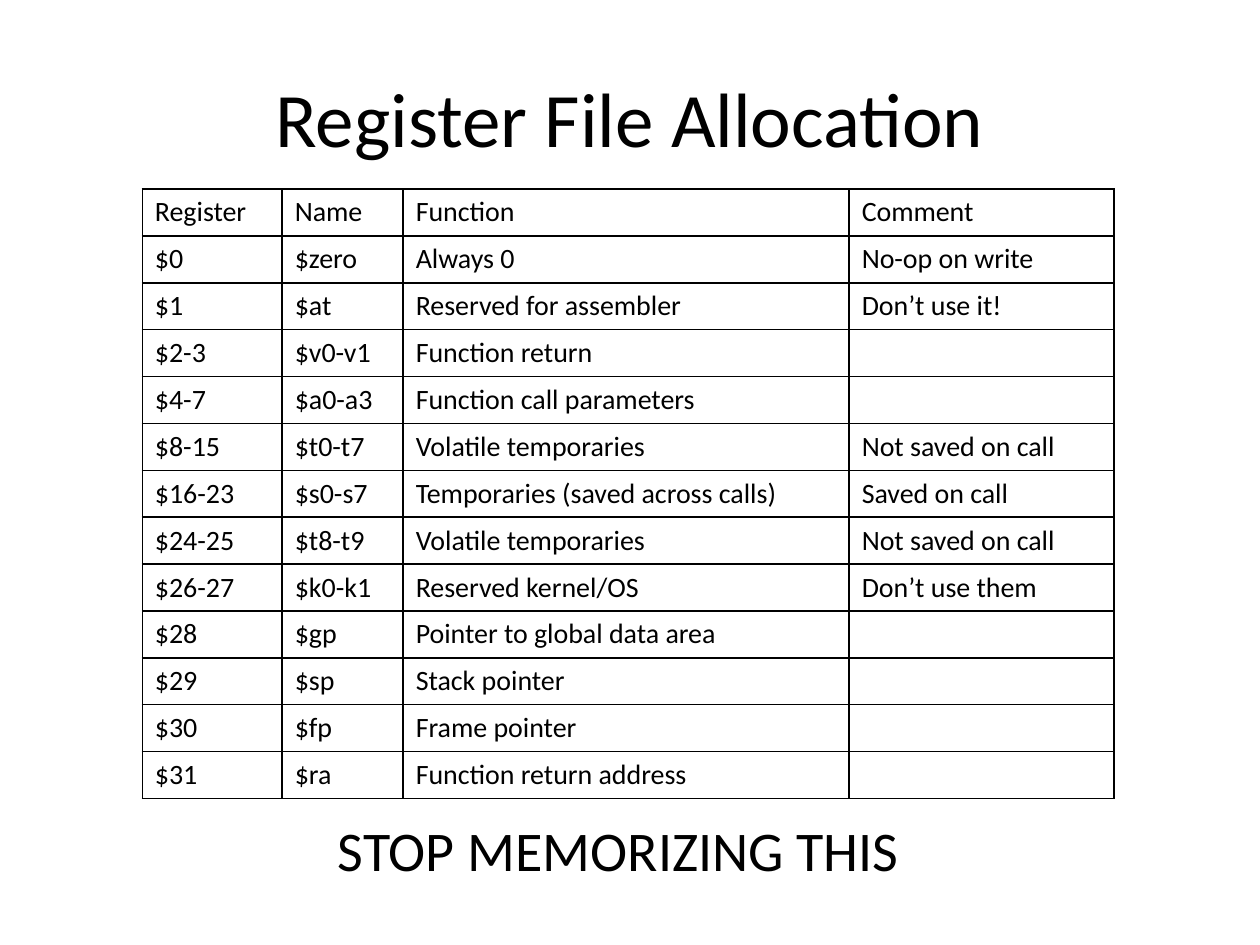
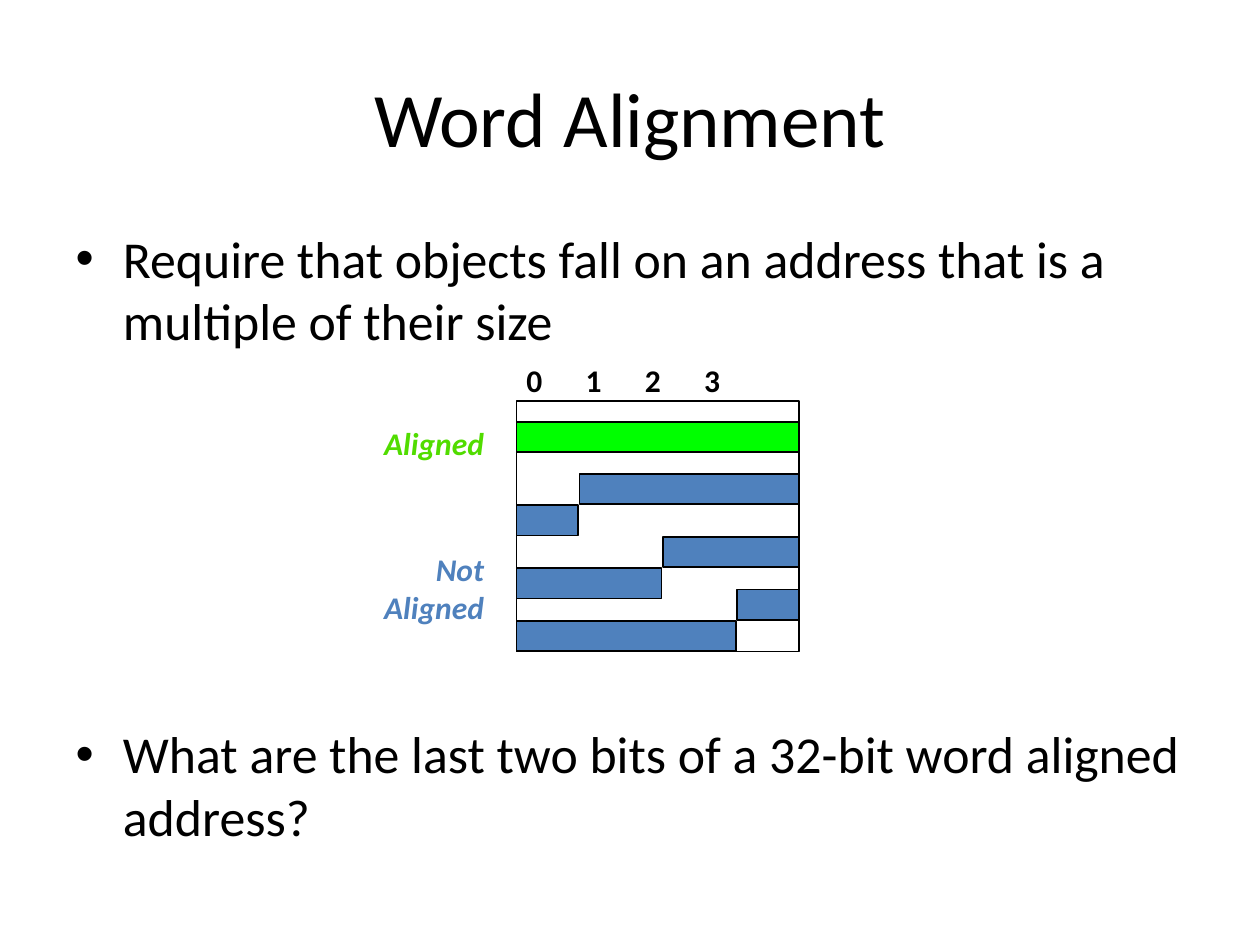
from lxml.etree import SubElement
from pptx import Presentation
from pptx.dml.color import RGBColor
from pptx.enum.shapes import MSO_SHAPE
from pptx.enum.text import MSO_ANCHOR, MSO_AUTO_SIZE, PP_ALIGN
from pptx.oxml.ns import qn
from pptx.util import Inches, Pt

# Shared look
FONT = "Calibri"
BLACK = RGBColor(0x00, 0x00, 0x00)
GREEN = RGBColor(0x00, 0xFF, 0x00)
LABEL_GREEN = RGBColor(0x51, 0xDC, 0x00)
BLUE = RGBColor(0x4F, 0x81, 0xBD)

# Register table
COLUMN_WIDTHS = (1.11, 0.96, 3.54, 2.1)
ROW_HEIGHT = 0.37
REGISTERS = (
    ("Register", "Name", "Function", "Comment"),
    ("$0", "$zero", "Always 0", "No-op on write"),
    ("$1", "$at", "Reserved for assembler", "Don’t use it!"),
    ("$2-3", "$v0-v1", "Function return", ""),
    ("$4-7", "$a0-a3", "Function call parameters", ""),
    ("$8-15", "$t0-t7", "Volatile temporaries", "Not saved on call"),
    ("$16-23", "$s0-s7", "Temporaries (saved across calls)", "Saved on call"),
    ("$24-25", "$t8-t9", "Volatile temporaries", "Not saved on call"),
    ("$26-27", "$k0-k1", "Reserved kernel/OS", "Don’t use them"),
    ("$28", "$gp", "Pointer to global data area", ""),
    ("$29", "$sp", "Stack pointer", ""),
    ("$30", "$fp", "Frame pointer", ""),
    ("$31", "$ra", "Function return address", ""),
)

# Word diagram: (top of the first part, width of the part that spills over)
SPLIT_WORDS = ((0.58, 0.49), (1.08, 1.15), (1.5, 1.74))
BAR_HEIGHT = 0.24
BAR_GAP = 0.01
BYTE_PITCH = 0.47


def write(frame, text, size, color=BLACK, bold=False, italic=False, align=None):
    """Fill a text frame, one paragraph for each line of text."""
    frame.text = text
    for paragraph in frame.paragraphs:
        paragraph.alignment = align
        for run in paragraph.runs:
            font = run.font
            font.name, font.size = FONT, Pt(size)
            font.bold, font.italic = bold, italic
            font.color.rgb = color
        if not paragraph.runs:
            paragraph._p.get_or_add_endParaRPr().set("sz", str(size * 100))


def place(part, left, top, width, height):
    part.left, part.top = Inches(left), Inches(top)
    part.width, part.height = Inches(width), Inches(height)


def add_titled_slide(prs, title):
    slide = prs.slides.add_slide(prs.slide_layouts[1])
    place(slide.shapes.title, 0.5, 0.3, 9, 1.25)
    frame = slide.shapes.title.text_frame
    frame.vertical_anchor = MSO_ANCHOR.MIDDLE
    write(frame, title, 44, align=PP_ALIGN.CENTER)
    return slide


def fill_body(slide, box, text, size):
    body = slide.placeholders[1]
    place(body, *box)
    body.text_frame.auto_size = MSO_AUTO_SIZE.NONE
    write(body.text_frame, text, size)
    return body.text_frame.paragraphs


def draw_cell_borders(cell):
    properties = cell._tc.get_or_add_tcPr()
    for side in ("a:lnL", "a:lnR", "a:lnT", "a:lnB"):
        border = SubElement(properties, qn(side), w=str(Pt(1)))
        solid = SubElement(border, qn("a:solidFill"))
        SubElement(solid, qn("a:srgbClr"), val=str(BLACK))


def add_register_table(slide, left, top):
    table = slide.shapes.add_table(
        len(REGISTERS), len(COLUMN_WIDTHS), Inches(left), Inches(top),
        Inches(sum(COLUMN_WIDTHS)), Inches(ROW_HEIGHT * len(REGISTERS))).table
    table.first_row = table.horz_banding = False
    for column, width in zip(table.columns, COLUMN_WIDTHS):
        column.width = Inches(width)
    for row, entries in zip(table.rows, REGISTERS):
        row.height = Inches(ROW_HEIGHT)
        for cell, entry in zip(row.cells, entries):
            draw_cell_borders(cell)
            cell.fill.background()
            write(cell.text_frame, entry, 16)


def add_bar(shapes, left, top, width, height=BAR_HEIGHT, color=None):
    bar = shapes.add_shape(MSO_SHAPE.RECTANGLE, Inches(left), Inches(top),
                           Inches(width), Inches(height))
    bar.shadow.inherit = False
    if color is None:
        bar.fill.background()
    else:
        bar.fill.solid()
        bar.fill.fore_color.rgb = color
    bar.line.color.rgb = BLACK
    bar.line.width = Pt(1)


def add_label(shapes, box, text, **style):
    label = shapes.add_textbox(*map(Inches, box))
    label.text_frame.word_wrap = True
    write(label.text_frame, text, 18, bold=True, **style)
    return label.text_frame.paragraphs[0]


def add_word_diagram(slide, left, top, width, height):
    shapes = slide.shapes.add_group_shape().shapes
    add_bar(shapes, left, top, width, height)
    add_bar(shapes, left, top + 0.17, width, color=GREEN)

    # Words that spill over into the next line of memory
    for offset, spill in SPLIT_WORDS:
        start = spill + BAR_GAP
        add_bar(shapes, left + start, top + offset, width - start, color=BLUE)
        add_bar(shapes, left, top + offset + BAR_HEIGHT + BAR_GAP, spill, color=BLUE)

    # Byte numbers on evenly spaced tab stops
    byte_numbers = add_label(shapes, (left - 0.02, top - 0.36, 2, 0.4), "0\t1\t2\t3")
    tabs = SubElement(byte_numbers._p.get_or_add_pPr(), qn("a:tabLst"))
    for byte in range(1, 4):
        SubElement(tabs, qn("a:tab"), pos=str(Inches(byte * BYTE_PITCH)), algn="l")

    # Row labels
    for offset, label_height, text, color in (
            (0.14, 0.4, "Aligned", LABEL_GREEN),
            (1.14, 0.7, "Not\nAligned", BLUE)):
        add_label(shapes, (left - 1.27, top + offset, 1.11, label_height), text,
                  color=color, italic=True, align=PP_ALIGN.RIGHT)


def build_register_slide(prs):
    slide = add_titled_slide(prs, "Register File Allocation")
    warning, = fill_body(slide, (2.58, 6.42, 4.67, 0.75), "STOP MEMORIZING THIS", 32)
    properties = warning._p.get_or_add_pPr()
    properties.set("marL", "0")
    properties.set("indent", "0")
    SubElement(properties, qn("a:buNone"))
    add_register_table(slide, 1.13, 1.5)


def build_alignment_slide(prs):
    slide = add_titled_slide(prs, "Word Alignment")
    _, question = fill_body(
        slide, (0.5, 1.75, 9, 4.95),
        "Require that objects fall on an address that is a multiple of their size\n"
        "What are the last two bits of a 32-bit word aligned address?", 29.6)
    question.space_before = Pt(212)  # room for the diagram
    add_word_diagram(slide, 4.1, 3.18, 2.24, 1.99)


def main():
    prs = Presentation()
    prs.slide_width, prs.slide_height = Inches(10), Inches(7.5)
    build_register_slide(prs)
    build_alignment_slide(prs)
    prs.save("out.pptx")


if __name__ == "__main__":
    main()
